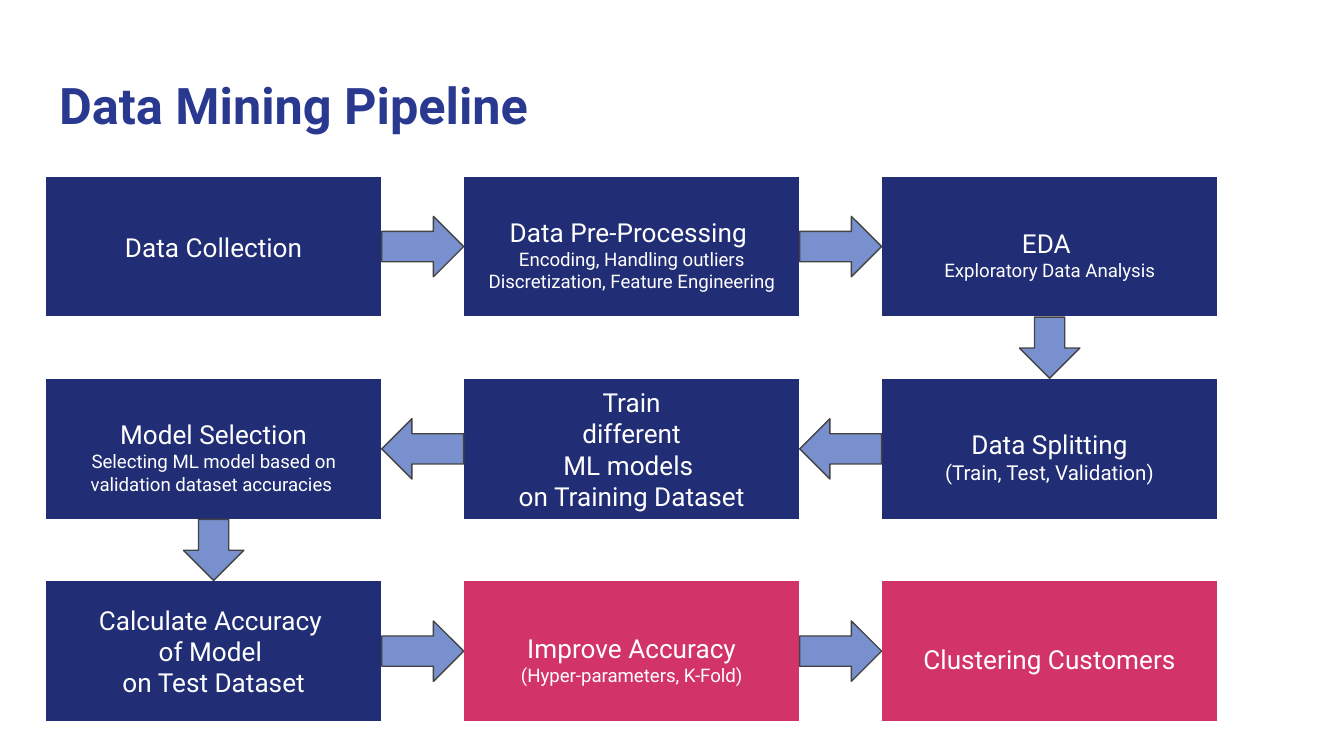
from dataclasses import dataclass

from pptx import Presentation
from pptx import util as u
from pptx.dml.color import RGBColor
from pptx.enum import shapes, text

PX = 4572  # EMU, 200 px to the inch


@dataclass(frozen=True)
class Theme:
    font: str = "Roboto"
    title: str = "2A3990"
    done: str = "212D74"
    planned: str = "D23369"
    light: str = "FFFFFF"
    arrow: str = "7890CD"
    arrow_edge: str = "434343"
    title_size: int = 27
    stage_size: int = 14
    detail_size: int = 10
    edge: float = 0.75


THEME = Theme()


@dataclass(frozen=True)
class Stage:
    column: int
    row: int
    heading: tuple
    details: tuple = ()
    fill: str = THEME.done
    detail_size: int = THEME.detail_size
    spacing: float = 1.5


# In flow order: the path winds right, left, then right again.
STAGES = (
    Stage(0, 0, ("Data Collection",), spacing=1),
    Stage(1, 0, ("Data Pre-Processing ",),
          ("Encoding, Handling outliers", "Discretization, Feature Engineering")),
    Stage(2, 0, ("EDA ",), ("Exploratory Data Analysis",)),
    Stage(2, 1, ("Data Splitting",), ("(Train, Test, Validation)",), detail_size=11),
    Stage(1, 1, ("Train", " different ", "ML models ", "on Training Dataset"), spacing=1),
    Stage(0, 1, ("Model Selection",),
          ("Selecting ML model based on validation dataset accuracies ",)),
    Stage(0, 2, ("Calculate Accuracy ", "of Model ", "on Test Dataset"), spacing=1),
    Stage(1, 2, ("Improve Accuracy",), ("(Hyper-parameters, K-Fold)",), THEME.planned),
    Stage(2, 2, ("Clustering Customers",), fill=THEME.planned),
)

BOX_W, BOX_H = 500, 210
GAP_X, GAP_Y = 122, 91
ARROW_BREADTH = 90


def emu(*lengths):
    return [u.Emu(length * PX) for length in lengths]


def set_margins(frame):
    frame.margin_left = frame.margin_right = u.Inches(0.1)
    frame.margin_top = frame.margin_bottom = u.Inches(0.1)


def style_font(paragraph, size, color, bold=False):
    for run in paragraph.runs:
        run.font.name = THEME.font
        run.font.size = u.Pt(size)
        run.font.bold = bold
        run.font.color.rgb = RGBColor.from_string(color)


def add_block(slide, kind, box, fill, edge):
    block = slide.shapes.add_shape(kind, *emu(*box))
    block.shadow.inherit = False
    block.fill.solid()
    block.fill.fore_color.rgb = RGBColor.from_string(fill)
    block.line.color.rgb = RGBColor.from_string(edge)
    block.line.width = u.Pt(THEME.edge)
    return block


def add_title(slide, box, wording):
    title = slide.shapes.title
    title.left, title.top, title.width, title.height = emu(*box)
    frame = title.text_frame
    frame.text = wording
    frame.auto_size = text.MSO_AUTO_SIZE.NONE
    frame.vertical_anchor = text.MSO_ANCHOR.TOP
    set_margins(frame)
    frame.paragraphs[0].alignment = text.PP_ALIGN.LEFT
    style_font(frame.paragraphs[0], THEME.title_size, THEME.title, bold=True)


def add_stage(slide, box, stage):
    block = add_block(slide, shapes.MSO_SHAPE.RECTANGLE, box, stage.fill, THEME.light)
    frame = block.text_frame
    frame.word_wrap = True
    frame.vertical_anchor = text.MSO_ANCHOR.MIDDLE
    set_margins(frame)
    frame.text = "\n".join(stage.heading + stage.details)
    for index, paragraph in enumerate(frame.paragraphs):
        is_heading = index < len(stage.heading)
        paragraph.alignment = text.PP_ALIGN.CENTER
        paragraph.line_spacing = stage.spacing if is_heading else 1.0
        size = THEME.stage_size if is_heading else stage.detail_size
        style_font(paragraph, size, THEME.light)


def add_flow_arrow(slide, start, end):
    """Fill the gap between two neighbouring stage boxes."""
    left, top = start[:2]
    if start[1] != end[1]:
        kind = shapes.MSO_SHAPE.DOWN_ARROW
        box = (left + (BOX_W - ARROW_BREADTH) // 2, top + BOX_H, ARROW_BREADTH, GAP_Y)
    else:
        forward = left < end[0]
        kind = shapes.MSO_SHAPE.RIGHT_ARROW if forward else shapes.MSO_SHAPE.LEFT_ARROW
        box = (min(left, end[0]) + BOX_W, top + (BOX_H - ARROW_BREADTH) // 2,
               GAP_X, ARROW_BREADTH)
    add_block(slide, kind, box, THEME.arrow, THEME.arrow_edge)


def add_pipeline(slide, left, top):
    boxes = [(left + stage.column * (BOX_W + GAP_X), top + stage.row * (BOX_H + GAP_Y),
              BOX_W, BOX_H) for stage in STAGES]
    for box, stage in zip(boxes, STAGES):
        add_stage(slide, box, stage)
    for start, end in zip(boxes, boxes[1:]):
        add_flow_arrow(slide, start, end)


def main():
    deck = Presentation()
    deck.slide_width, deck.slide_height = emu(2000, 1125)
    slide = deck.slides.add_slide(deck.slide_layouts.get_by_name("Title Only"))
    add_title(slide, (68, 90, 1864, 132), "Data Mining Pipeline")
    add_pipeline(slide, 68, 262)
    deck.save("out.pptx")


if __name__ == "__main__":
    main()
